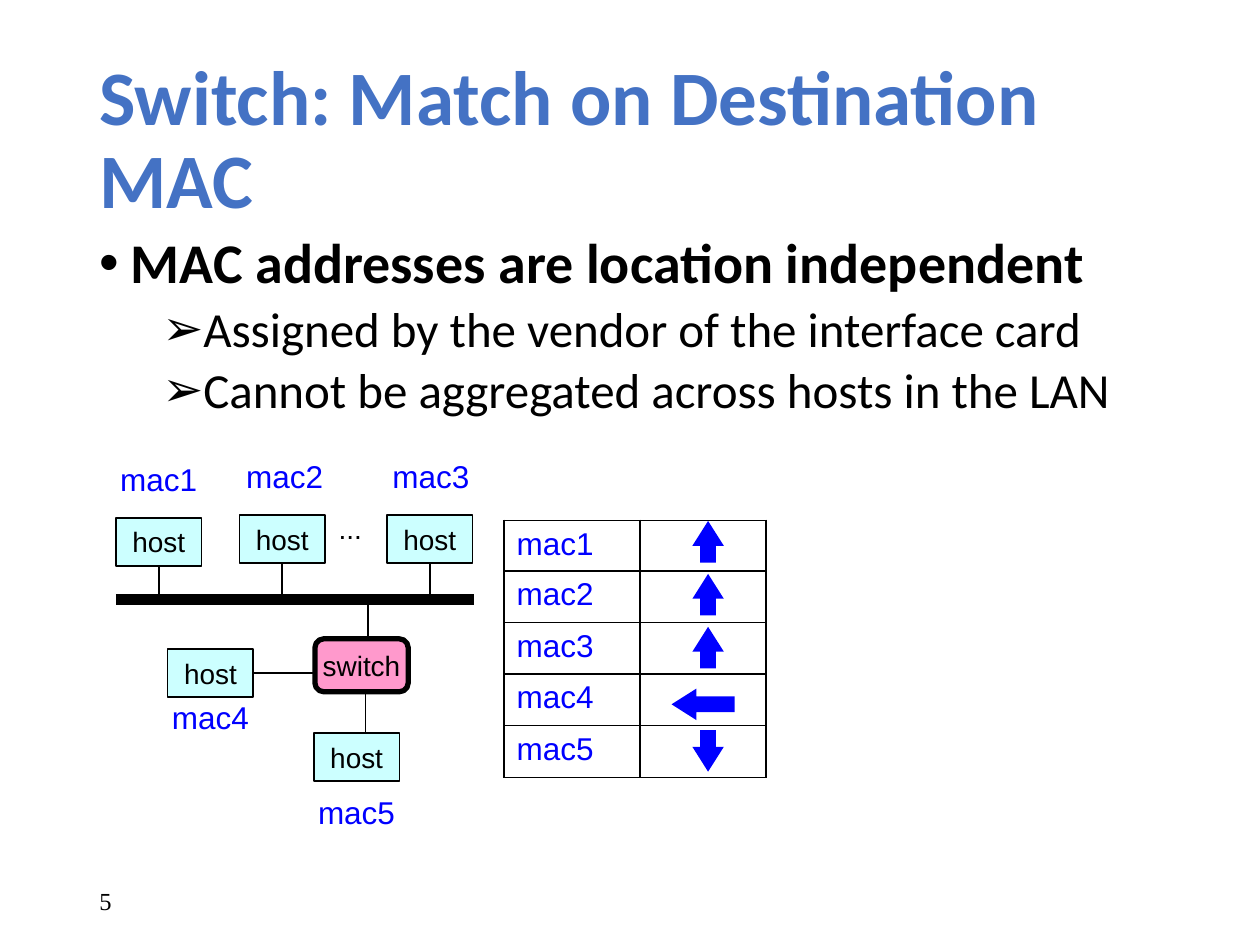
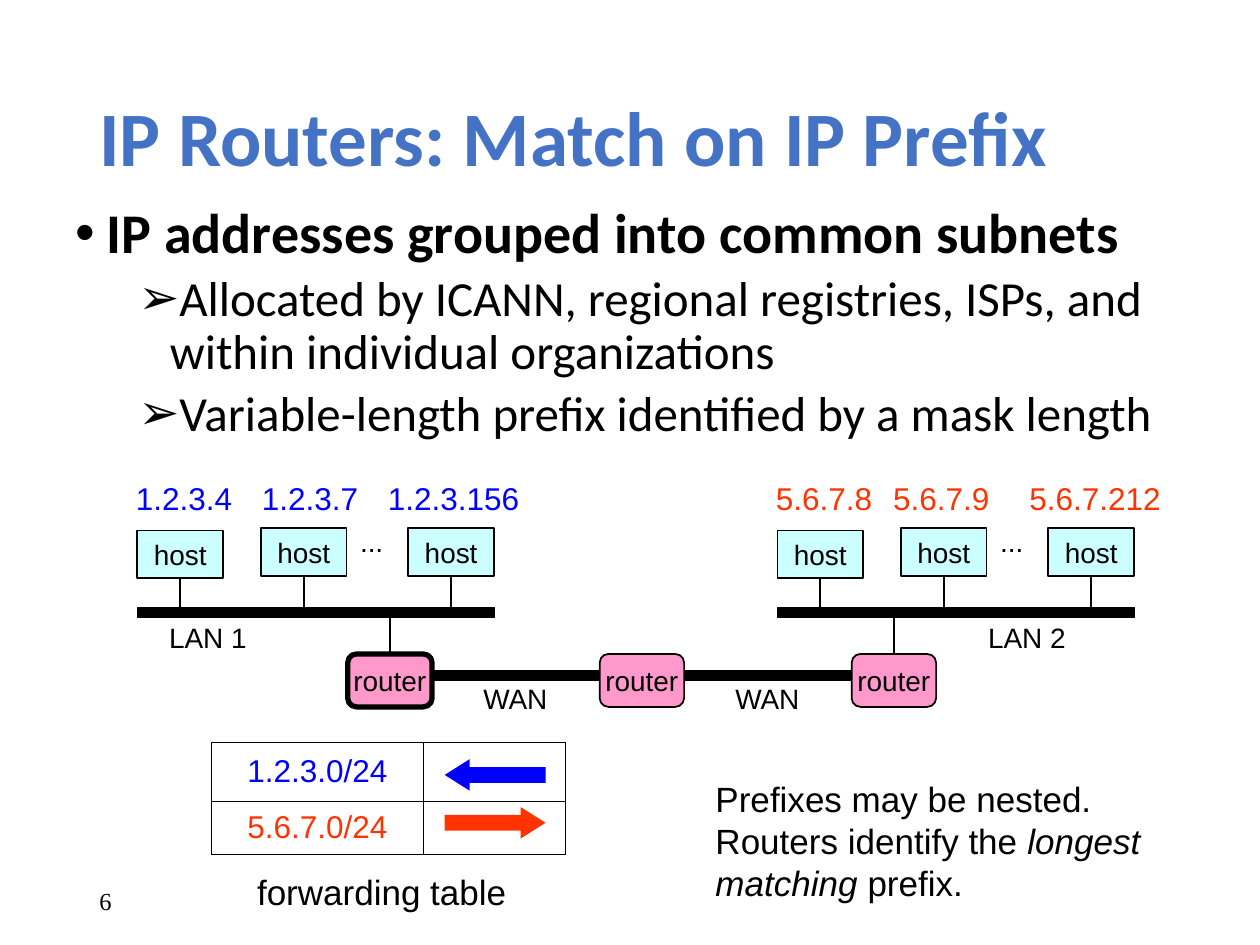
from lxml.etree import SubElement
from pptx import Presentation
from pptx.dml.color import RGBColor
from pptx.enum.shapes import MSO_CONNECTOR, MSO_SHAPE
from pptx.enum.text import MSO_ANCHOR, PP_ALIGN
from pptx.oxml import parse_xml
from pptx.oxml.ns import nsdecls, qn
from pptx.util import Inches, Pt

# Shared look
BLACK = RGBColor(0x00, 0x00, 0x00)
TITLE_BLUE = RGBColor(0x44, 0x72, 0xC4)
BLUE = RGBColor(0x00, 0x00, 0xFF)
RED = RGBColor(0xFF, 0x33, 0x00)
HOST_CYAN = RGBColor(0xCC, 0xFF, 0xFF)
NODE_PINK = RGBColor(0xFF, 0x99, 0xCC)
HOST_SIZE = (0.68, 0.38)
ROUTER_SIZE = (0.67, 0.42)
THIN, THICK, BUS = 1, 3, 6

# Content: outlines (first point is the heading) and their boxes
SWITCH_SLIDE = dict(
    title="Switch: Match on Destination MAC", title_width=8.9, number="5",
    body_box=(0.69, 1.82, 8.62, 1.7),
    points=["MAC addresses are location independent",
            "Assigned by the vendor of the interface card",
            "Cannot be aggregated across hosts in the LAN"])
ROUTER_SLIDE = dict(
    title="IP Routers: Match on IP Prefix", title_width=8.62, number="6",
    body_box=(0.5, 1.58, 9.25, 2.33),
    points=["IP addresses grouped into common subnets",
            "Allocated by ICANN, regional registries, ISPs, and within "
            "individual organizations",
            "Variable-length prefix identified by a mask length"])

# Addresses: text, centre, top
MAC_LABELS = [("mac1", 1.26, 3.6), ("mac2", 2.26, 3.58), ("mac3", 3.42, 3.58),
              ("mac4", 1.67, 5.49), ("mac5", 2.83, 6.24)]
LANS = [  # bus left, colour, addresses with centres, name with centre
    (1.09, BLUE, [("1.2.3.4", 1.46), ("1.2.3.7", 2.46), ("1.2.3.156", 3.6)],
     ("LAN 1", 1.65)),
    (6.17, RED, [("5.6.7.8", 6.54), ("5.6.7.9", 7.47), ("5.6.7.212", 8.69)],
     ("LAN 2", 8.15)),
]
# Forwarding directions: shape, centre x, centre y, width, height, colour
UP, DOWN = MSO_SHAPE.UP_ARROW, MSO_SHAPE.DOWN_ARROW
LEFT, RIGHT = MSO_SHAPE.LEFT_ARROW, MSO_SHAPE.RIGHT_ARROW
MAC_ARROWS = [(UP, 5.62, 4.3 + 0.42 * i, 0.25, 0.33, BLUE) for i in range(3)]
MAC_ARROWS += [(LEFT, 5.58, 5.59, 0.5, 0.25, BLUE),
               (DOWN, 5.62, 5.96, 0.25, 0.33, BLUE)]
PREFIX_ARROWS = [(LEFT, 3.93, 6.15, 0.8, 0.25, BLUE),
                 (RIGHT, 3.93, 6.53, 0.8, 0.25, RED)]
PREFIXES = [("1.2.3.0/24", BLUE), ("5.6.7.0/24", RED)]
NESTING_NOTE = [("Prefixes may be nested. Routers identify the ", False),
                ("longest matching ", True), ("prefix.", False)]


def write(paragraph, text, size=16, font="Arial", color=BLACK, bold=False,
          italic=False, align=PP_ALIGN.LEFT):
    paragraph.alignment = align
    run = paragraph.add_run()
    run.text = text
    run.font.size, run.font.name = Pt(size), font
    run.font.bold, run.font.italic = bold, italic
    run.font.color.rgb = color


def add_frame(slide, box, anchor=MSO_ANCHOR.TOP, wrap=True):
    frame = slide.shapes.add_textbox(*map(Inches, box)).text_frame
    frame.word_wrap, frame.vertical_anchor = wrap, anchor
    return frame


def add_label(slide, text, center, top, height=0.37, size=16, color=BLACK):
    """One line centred on a point, in a box wide enough for its text."""
    width = 0.4 + 0.6 * len(text) * size / 72
    frame = add_frame(slide, (center - width / 2, top, width, height),
                      MSO_ANCHOR.MIDDLE, wrap=False)
    write(frame.paragraphs[0], text, size=size, color=color, align=PP_ALIGN.CENTER)


def add_node(slide, kind, text, box, fill, width=THIN):
    node = slide.shapes.add_shape(kind, *map(Inches, box))
    node.shadow.inherit = False
    node.fill.solid()
    node.fill.fore_color.rgb = fill
    node.line.color.rgb, node.line.width = BLACK, Pt(width)
    node.text_frame.word_wrap = False
    node.text_frame.vertical_anchor = MSO_ANCHOR.MIDDLE
    write(node.text_frame.paragraphs[0], text, align=PP_ALIGN.CENTER)
    return node


def add_host(slide, left, top):
    return add_node(slide, MSO_SHAPE.RECTANGLE, "host",
                    (left, top, *HOST_SIZE), HOST_CYAN)


def add_device(slide, text, box, width=THIN):
    return add_node(slide, MSO_SHAPE.ROUNDED_RECTANGLE, text, box, NODE_PINK, width)


def add_link(slide, start, end, width=THIN, begin=None, finish=None):
    """Line between two points; begin and finish are (shape, side) joins."""
    link = slide.shapes.add_connector(MSO_CONNECTOR.STRAIGHT,
                                      *map(Inches, (*start, *end)))
    link.line.color.rgb, link.line.width = BLACK, Pt(width)
    SubElement(link._element.spPr, qn("a:effectLst"))
    if begin:
        link.begin_connect(*begin)
    if finish:
        link.end_connect(*finish)


def add_arrows(slide, arrows):
    for kind, x, y, width, height, color in arrows:
        arrow = slide.shapes.add_shape(
            kind, *map(Inches, (x - width / 2, y - height / 2, width, height)))
        arrow.shadow.inherit = False
        arrow.adjustments[0], arrow.adjustments[1] = 0.5, 0.79
        arrow.fill.solid()
        arrow.fill.fore_color.rgb = color
        arrow.line.fill.background()


def add_lan(slide, left, bus_y):
    """A bus with three hosts hanging above it."""
    add_link(slide, (left, bus_y), (left + 2.84, bus_y), BUS)
    for offset, rise in [(0, 0.65), (0.98, 0.67), (2.15, 0.67)]:
        host = add_host(slide, left + offset, bus_y - rise)
        x = left + offset + HOST_SIZE[0] / 2
        add_link(slide, (x, bus_y - 0.3), (x, bus_y), begin=(host, 2))
    add_label(slide, "...", left + 1.86, bus_y - 0.75)


def add_forwarding_table(slide, left, top, widths, heights, entries, line,
                         align=PP_ALIGN.LEFT, anchor=MSO_ANCHOR.TOP):
    """Addresses in the first column; the second is left for arrows."""
    table = slide.shapes.add_table(
        len(heights), len(widths), Inches(left), Inches(top),
        Inches(sum(widths)), Inches(sum(heights))).table
    table.first_row = table.horz_banding = False
    for column, width in zip(table.columns, widths):
        column.width = Inches(width)
    for row, height, (text, color) in zip(table.rows, heights, entries):
        row.height = Inches(height)
        address = row.cells[0]
        address.vertical_anchor = anchor
        write(address.text_frame.paragraphs[0], text, size=18, color=color, align=align)
        for cell in row.cells:
            cell.fill.background()
            borders = cell._tc.get_or_add_tcPr()
            for i, side in enumerate(("lnL", "lnR", "lnT", "lnB")):
                borders.insert(i, parse_xml(
                    f'<a:{side} {nsdecls("a")} w="{Pt(line)}"><a:solidFill>'
                    f'<a:srgbClr val="{BLACK}"/></a:solidFill></a:{side}>'))


def add_outline(slide, box, points):
    frame = add_frame(slide, box)
    for i, point in enumerate(points):
        paragraph = frame.add_paragraph() if i else frame.paragraphs[0]
        size, bold, before, bullet, indent = (
            (28, False, 5, "➢", 0.75) if i else (32, True, 10, "•", 0.25))
        write(paragraph, point, size=size, font="Calibri", bold=bold)
        paragraph.line_spacing, paragraph.space_before = 0.9, Pt(before)
        settings = paragraph._p.get_or_add_pPr()
        settings.set("marL", str(Inches(indent)))
        settings.set("indent", str(Inches(-0.25)))
        SubElement(settings, qn("a:buFont")).set("typeface", "Arial")
        SubElement(settings, qn("a:buChar")).set("char", bullet)


def start_slide(deck, title, title_width, number, body_box, points):
    slide = deck.slides.add_slide(deck.slide_layouts[6])
    heading = add_frame(slide, (0.69, 0.4, title_width, 1.45),
                        MSO_ANCHOR.MIDDLE).paragraphs[0]
    write(heading, title, size=44, font="Calibri", color=TITLE_BLUE, bold=True)
    heading.line_spacing = 0.9
    add_outline(slide, body_box, points)
    footer = add_frame(slide, (0.69, 6.95, 2.25, 0.4), MSO_ANCHOR.MIDDLE)
    write(footer.paragraphs[0], number, size=14, font="Times New Roman")
    return slide


def build_switch_slide(deck):
    slide = start_slide(deck, **SWITCH_SLIDE)
    macs = [(text, BLUE) for text, *_ in MAC_LABELS]
    add_forwarding_table(slide, 4, 4.13, [1.08, 1], [0.4] + [0.41] * 4, macs, 1)
    add_arrows(slide, MAC_ARROWS)

    # Switch with the LAN above and one host on each other port
    add_lan(slide, 0.92, 4.76)
    add_link(slide, (2.92, 4.76), (2.92, 5.09))
    add_device(slide, "switch", (2.5, 5.07, 0.74, 0.42), THICK)
    left_host = add_host(slide, 1.33, 5.15)
    add_link(slide, (2.01, 5.34), (2.5, 5.34), begin=(left_host, 3))
    add_host(slide, 2.49, 5.82)
    add_link(slide, (2.9, 5.49), (2.9, 5.82))
    for text, center, top in MAC_LABELS:
        add_label(slide, text, center, top, 0.4, size=18, color=BLUE)


def build_router_slide(deck):
    slide = start_slide(deck, **ROUTER_SLIDE)

    # Two LANs
    for left, color, addresses, (name, name_center) in LANS:
        add_lan(slide, left, 4.86)
        add_label(slide, name, name_center, 4.87)
        for text, center in addresses:
            add_label(slide, text, center, 3.75, 0.4, size=18, color=color)

    # Routers, joined by the WAN; the outer two reach up to their LANs
    for left in (3.42, 5.42):
        add_link(slide, (left, 5.36), (left + 1.34, 5.36), BUS)
        add_label(slide, "WAN", left + 0.67, 5.36)
    for left, width, on_lan in [(2.76, THICK, True), (4.76, THIN, False),
                                (6.76, THIN, True)]:
        router = add_device(slide, "router", (left, 5.19, *ROUTER_SIZE), width)
        if on_lan:
            x = left + ROUTER_SIZE[0] / 2
            add_link(slide, (x, 4.86), (x, 5.19), finish=(router, 0))

    # Forwarding table and note
    add_forwarding_table(slide, 1.68, 5.89, [1.68, 1.13], [0.47, 0.42], PREFIXES,
                         0.75, PP_ALIGN.CENTER, MSO_ANCHOR.MIDDLE)
    add_arrows(slide, PREFIX_ARROWS)
    add_label(slide, "forwarding table", 3.03, 6.86, 0.43, size=20)
    note = add_frame(slide, (5.58, 6.12, 3.75, 1.11)).paragraphs[0]
    for text, italic in NESTING_NOTE:
        write(note, text, size=20, italic=italic)


def main():
    deck = Presentation()
    deck.slide_width, deck.slide_height = Inches(10), Inches(7.5)
    build_switch_slide(deck)
    build_router_slide(deck)
    deck.save("out.pptx")


if __name__ == "__main__":
    main()
